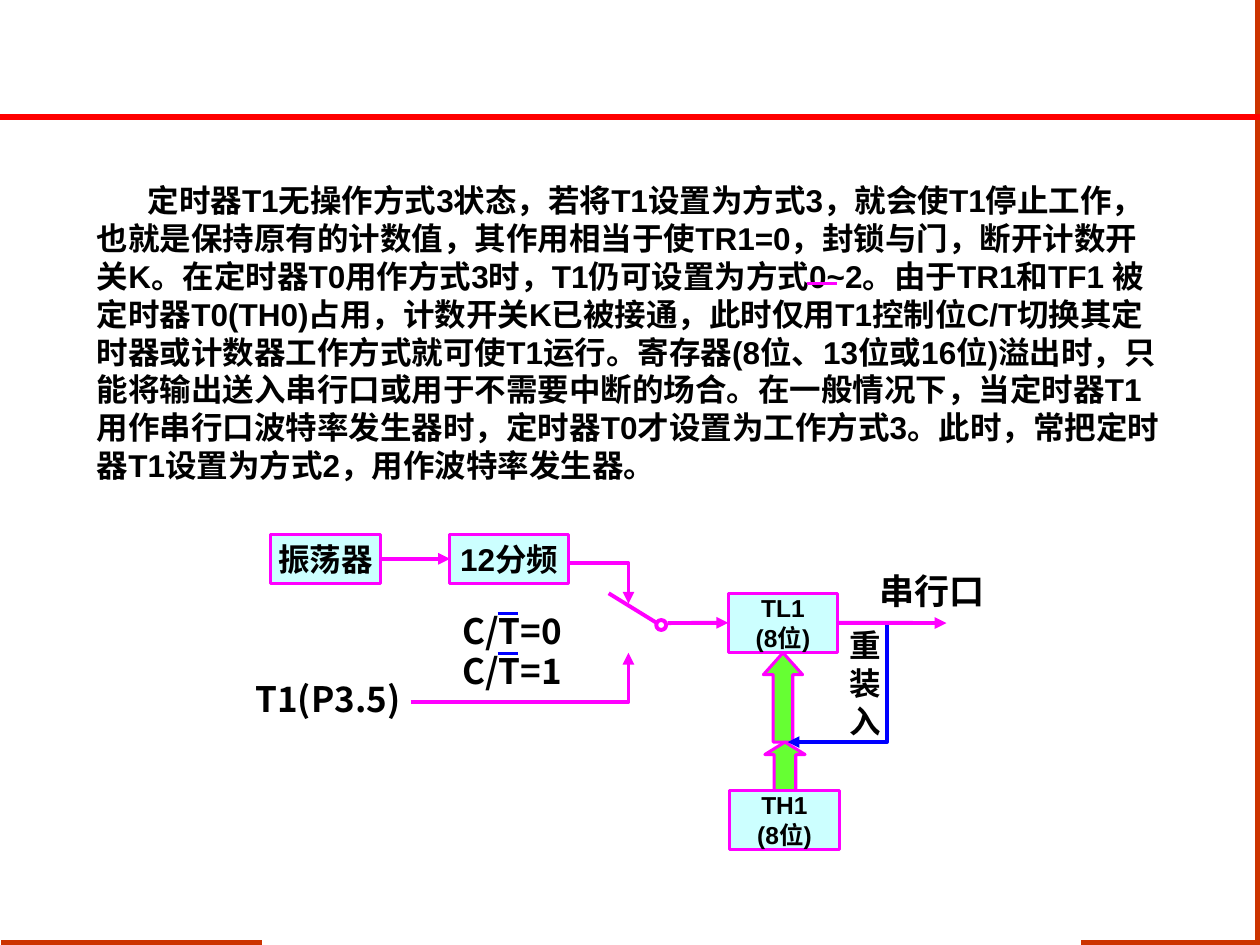
"""Build the slide on timer T1 in mode 3, with its baud-rate generator diagram."""
from dataclasses import dataclass

import pptx
import pptx.dml.color
import pptx.enum.shapes
import pptx.enum.text
import pptx.oxml.ns
import pptx.util
from lxml import etree

Cm, Pt = pptx.util.Cm, pptx.util.Pt
MSO = pptx.enum.shapes.MSO_SHAPE
ALIGN = pptx.enum.text.PP_ALIGN
ANCHOR = pptx.enum.text.MSO_ANCHOR
qn = pptx.oxml.ns.qn

MAGENTA, BLUE, RUST, RED = "FF00FF", "0000FF", "CC3300", "FF0000"
CYAN, GREEN, BLACK = "CCFFFF", "66FF33", "000000"
CJK = "Noto Sans CJK SC"


@dataclass
class Box:
    lines: list[str]
    x: float
    y: float
    w: float
    h: float
    size: int


@dataclass
class Label:
    text: str
    x: float
    y: float
    w: float
    h: float = 1.12
    size: int = 20
    wrap: bool = False


@dataclass
class Line:
    x1: float
    y1: float
    x2: float
    y2: float
    color: str = MAGENTA
    width: float = 2.25
    arrow: bool = False


@dataclass
class Route:
    points: list[tuple[float, float]]
    color: str = MAGENTA


@dataclass
class BlockArrow:
    x: float
    y: float
    w: float
    h: float
    shaft: float
    head: float


def rgb(color: str):
    return pptx.dml.color.RGBColor.from_string(color)


def set_line(sp, color: str, width: float, arrow: bool = False) -> None:
    sp.line.color.rgb = rgb(color)
    sp.line.width = Pt(width)
    if arrow:
        ln = sp.line._get_or_add_ln()
        etree.SubElement(ln, qn("a:tailEnd"), type="triangle")


def add_run(p, text: str, size: int, font: str) -> None:
    r = p.add_run()
    r.text = text
    r.font.size, r.font.bold, r.font.name = Pt(size), True, font
    r.font.color.rgb = rgb(BLACK)
    etree.SubElement(r._r.get_or_add_rPr(), qn("a:ea"), typeface=CJK)


def add_shape(s, kind, x: float, y: float, w: float, h: float,
              fill: str | None, width: float = 1.75):
    sp = s.shapes.add_shape(kind, Cm(x), Cm(y), Cm(w), Cm(h))
    sp.shadow.inherit = False
    if fill:
        sp.fill.solid()
        sp.fill.fore_color.rgb = rgb(fill)
    else:
        sp.fill.background()
    set_line(sp, MAGENTA, width)
    return sp


def add_box(s, box: Box):
    sp = add_shape(s, MSO.RECTANGLE, box.x, box.y, box.w, box.h, CYAN)
    tf = sp.text_frame
    tf.word_wrap = False
    tf.vertical_anchor = ANCHOR.MIDDLE
    for i, text in enumerate(box.lines):
        p = tf.add_paragraph() if i else tf.paragraphs[0]
        p.alignment = ALIGN.CENTER
        add_run(p, text, box.size, "Arial")
    return sp


def add_block_arrow(s, arrow: BlockArrow) -> None:
    sp = add_shape(s, MSO.UP_ARROW, arrow.x, arrow.y, arrow.w, arrow.h, GREEN)
    sp.adjustments[0], sp.adjustments[1] = arrow.shaft, arrow.head


def add_line(s, line: Line):
    cx = s.shapes.add_connector(
        pptx.enum.shapes.MSO_CONNECTOR.STRAIGHT,
        Cm(line.x1), Cm(line.y1), Cm(line.x2), Cm(line.y2))
    set_line(cx, line.color, line.width, line.arrow)
    etree.SubElement(cx._element.spPr, qn("a:effectLst"))
    return cx


def add_route(s, route: Route) -> None:
    points = [(Cm(x), Cm(y)) for x, y in route.points]
    builder = s.shapes.build_freeform(*points[0])
    builder.add_line_segments(points[1:], close=False)
    sp = builder.convert_to_shape()
    sp.shadow.inherit = False
    sp.fill.background()
    set_line(sp, route.color, 2.25, True)


def add_label(s, label: Label) -> None:
    sp = s.shapes.add_textbox(Cm(label.x), Cm(label.y), Cm(label.w), Cm(label.h))
    tf = sp.text_frame
    tf.word_wrap = label.wrap
    add_run(tf.paragraphs[0], label.text, label.size, CJK)


def fill_body(sp, paragraphs: list[tuple[str, float]]) -> None:
    sp.left, sp.top, sp.width, sp.height = Cm(1.7), Cm(3.53), Cm(22.05), Cm(7.11)
    tf = sp.text_frame
    tf.word_wrap = True
    tf.auto_size = pptx.enum.text.MSO_AUTO_SIZE.NONE
    for i, (text, indent) in enumerate(paragraphs):
        p = tf.add_paragraph() if i else tf.paragraphs[0]
        pPr = p._p.get_or_add_pPr()
        pPr.set("marL", "0")
        pPr.set("indent", str(Cm(indent)))
        etree.SubElement(pPr, qn("a:buNone"))
        p.space_before = Pt(0)
        add_run(p, text, 18, "Arial")


BODY = [
    ("定时器T1无操作方式3状态，若将T1设置为方式3，就会使T1停止工作，", 1.02),
    ("也就是保持原有的计数值，其作用相当于使TR1=0，封锁与门，断开计数开关K。"
     "在定时器T0用作方式3时，T1仍可设置为方式0~2。由于TR1和TF1 被定时器T0(TH0)占用，"
     "计数开关K已被接通，此时仅用T1控制位C/T切换其定时器或计数器工作方式就可使T1运行。"
     "寄存器(8位、13位或16位)溢出时，只能将输出送入串行口或用于不需要中断的场合。"
     "在一般情况下，当定时器T1用作串行口波特率发生器时，定时器T0才设置为工作方式3。"
     "此时，常把定时器T1设置为方式2，用作波特率发生器。", 0),
]
FRAME = [
    Line(5.28, 19, 0.03, 19, RUST, 3),
    Line(25.35, 19.05, 25.35, 0, RUST, 3),
    Line(25.3, 19, 21.79, 19, RUST, 3),
    Line(25.4, 2.36, 0, 2.36, RED, 3),
]
BLOCK_ARROWS = [
    BlockArrow(15.39, 13.16, 0.79, 1.8, 0.5, 0.56),
    BlockArrow(15.42, 14.96, 0.81, 0.99, 0.54, 0.31),
]
ROUTES = [
    Route([(17.88, 12.57), (17.88, 14.96), (15.88, 14.96)], BLUE),
    Route([(11.48, 11.35), (12.67, 11.35), (12.67, 12.17)]),
    Route([(8.28, 14.15), (12.67, 14.15), (12.67, 13.16)]),
]
LABELS = [
    Label("T1(P3.5)", 4.9, 13.54, 3.91),
    Label("C/T=0", 9.07, 12.17, 2.79),
    Label("C/T=1", 9.07, 12.96, 2.79),
    Label("串行口", 17.48, 11.35, 2.62),
    Label("重装入", 16.87, 12.5, 0.91, 2.54, 18, True),
]
OVERBARS = [
    Line(10.03, 12.37, 10.44, 12.37, BLUE, 1.75),
    Line(10.03, 13.18, 10.44, 13.18, BLUE, 1.75),
    Line(16.26, 5.72, 16.87, 5.72, MAGENTA, 1.75),
]


def main() -> None:
    prs = pptx.Presentation()
    prs.slide_width, prs.slide_height = Cm(25.4), Cm(19.05)
    s = prs.slides.add_slide(prs.slide_layouts[1])
    title = s.shapes.title._element
    title.getparent().remove(title)
    fill_body(s.placeholders[1], BODY)
    for line in FRAME:
        add_line(s, line)
    oscillator = add_box(s, Box(["振荡器"], 5.46, 10.77, 2.21, 0.99, 18))
    divider = add_box(s, Box(["12分频"], 9.07, 10.77, 2.39, 0.99, 18))
    for arrow in BLOCK_ARROWS:
        add_block_arrow(s, arrow)
    tl1 = add_box(s, Box(["TL1", "(8位)"], 14.68, 11.96, 2.21, 1.19, 14))
    add_box(s, Box(["TH1", "(8位)"], 14.71, 15.93, 2.21, 1.19, 14))
    for route in ROUTES:
        add_route(s, route)
    clock = add_line(s, Line(7.67, 11.27, 9.07, 11.27, arrow=True))
    clock.begin_connect(oscillator, 3)
    clock.end_connect(divider, 1)
    add_line(s, Line(13.46, 12.56, 14.68, 12.56, arrow=True)).end_connect(tl1, 1)
    add_line(s, Line(16.89, 12.56, 19.08, 12.56, arrow=True)).begin_connect(tl1, 3)
    add_shape(s, MSO.OVAL, 13.23, 12.5, 0.2, 0.2, None, 2.25)
    add_line(s, Line(12.27, 11.96, 13.26, 12.57))
    for label in LABELS:
        add_label(s, label)
    for bar in OVERBARS:
        add_line(s, bar)
    prs.save("out.pptx")


if __name__ == "__main__":
    main()
